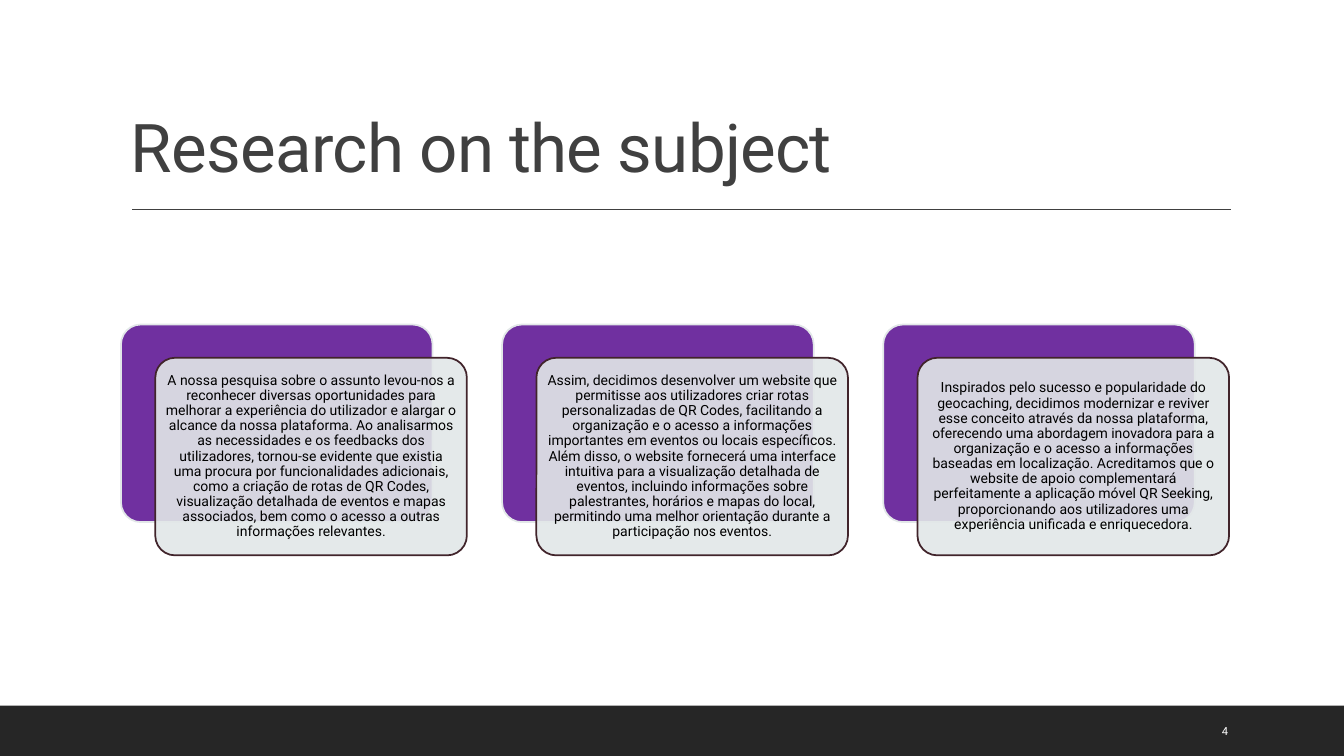
from dataclasses import dataclass

import pptx
import pptx.dml.color
import pptx.enum.shapes
import pptx.enum.text
import pptx.oxml.ns
import pptx.shapes.autoshape
import pptx.slide
import pptx.text.text
import pptx.util
from lxml import etree

Inches = pptx.util.Inches
Pt = pptx.util.Pt
SHAPES = pptx.enum.shapes.MSO_SHAPE
ANCHORS = pptx.enum.text.MSO_ANCHOR
ALIGNMENTS = pptx.enum.text.PP_ALIGN

FONT = "Roboto"
COLORS = {
    "background": "FFFFFF",
    "title": "404040",
    "footer": "262626",
    "accent": "7030A0",
    "panel": "E2E7E8",
    "panel_line": "41242B",
    "body": "000000",
    "page_number": "FFFFFF",
}
SLIDE_WIDTH, SLIDE_HEIGHT = 13.33, 7.5
FOOTER_HEIGHT = 0.5
CARD_LEFT, CARD_TOP = 1.2, 3.22
CARD_WIDTH, CARD_HEIGHT = 3.09, 1.96
CARD_PITCH = 3.78
PANEL_SHIFT_X, PANEL_SHIFT_Y = 0.34, 0.33

FINDINGS = [
    "A nossa pesquisa sobre o assunto levou-nos a reconhecer diversas oportunidades para "
    "melhorar a experiência do utilizador e alargar o alcance da nossa plataforma. Ao "
    "analisarmos as necessidades e os feedbacks dos utilizadores, tornou-se evidente que "
    "existia uma procura por funcionalidades adicionais, como a criação de rotas de QR Codes, "
    "visualização detalhada de eventos e mapas associados, bem como o acesso a outras "
    "informações relevantes.",
    "Assim, decidimos desenvolver um website que permitisse aos utilizadores criar rotas "
    "personalizadas de QR Codes, facilitando a organização e o acesso a informações "
    "importantes em eventos ou locais específicos. Além disso, o website fornecerá uma "
    "interface intuitiva para a visualização detalhada de eventos, incluindo informações "
    "sobre palestrantes, horários e mapas do local, permitindo uma melhor orientação durante "
    "a participação nos eventos.",
    "Inspirados pelo sucesso e popularidade do geocaching, decidimos modernizar e reviver "
    "esse conceito através da nossa plataforma, oferecendo uma abordagem inovadora para a "
    "organização e o acesso a informações baseadas em localização. Acreditamos que o website "
    "de apoio complementará perfeitamente a aplicação móvel QR Seeking, proporcionando aos "
    "utilizadores uma experiência unificada e enriquecedora.",
]


@dataclass(frozen=True)
class Box:
    left: float
    top: float
    width: float
    height: float

    def lengths(self) -> list[pptx.util.Length]:
        return [Inches(value) for value in (self.left, self.top, self.width, self.height)]


@dataclass(frozen=True)
class Card:
    back: Box
    finding: str

    @property
    def panel(self) -> Box:
        return Box(self.back.left + PANEL_SHIFT_X, self.back.top + PANEL_SHIFT_Y,
                   self.back.width, self.back.height)


def rgb(name: str) -> pptx.dml.color.RGBColor:
    return pptx.dml.color.RGBColor.from_string(COLORS[name])


def write(frame: pptx.text.text.TextFrame, text: str, size: float, color: str,
          anchor: ANCHORS) -> pptx.text.text._Paragraph:
    frame.word_wrap = True
    frame.vertical_anchor = anchor
    frame.text = text
    paragraph = frame.paragraphs[0]
    font = paragraph.runs[0].font
    font.name, font.size = FONT, Pt(size)
    font.color.rgb = rgb(color)
    return paragraph


def add_block(slide: pptx.slide.Slide, kind: SHAPES, box: Box, fill: str,
              line: str | None = None) -> pptx.shapes.autoshape.Shape:
    block = slide.shapes.add_shape(kind, *box.lengths())
    block.shadow.inherit = False
    block.fill.solid()
    block.fill.fore_color.rgb = rgb(fill)
    if line:
        block.line.color.rgb = rgb(line)
        block.line.width = Pt(1.25)
    else:
        block.line.fill.background()
    if kind == SHAPES.ROUNDED_RECTANGLE:
        block.adjustments[0] = 0.1
    return block


def set_opacity(block: pptx.shapes.autoshape.Shape, percent: int) -> None:
    color = block.fill._xPr.find(".//" + pptx.oxml.ns.qn("a:srgbClr"))
    etree.SubElement(color, pptx.oxml.ns.qn("a:alpha"), val=str(percent * 1000))


def add_title(slide: pptx.slide.Slide) -> None:
    """Add the heading and the rule beneath it."""
    title = slide.shapes.add_textbox(*Box(1.2, 0.31, 11, 1.59).lengths())
    heading = write(title.text_frame, "Research on the subject", 48, "title", ANCHORS.BOTTOM)
    heading.line_spacing = 0.9
    heading.space_after = Pt(6)
    heading.runs[0].font._element.set("spc", "-50")

    rule = slide.shapes.add_connector(pptx.enum.shapes.MSO_CONNECTOR.STRAIGHT, Inches(1.31),
                                      Inches(2.08), Inches(12.21), Inches(2.08))
    rule.line.color.rgb = rgb("title")
    rule.line.width = Pt(1)
    etree.SubElement(rule._element.spPr, pptx.oxml.ns.qn("a:effectLst"))


def add_card(slide: pptx.slide.Slide, card: Card) -> None:
    add_block(slide, SHAPES.ROUNDED_RECTANGLE, card.back, "accent", "panel")
    panel = add_block(slide, SHAPES.ROUNDED_RECTANGLE, card.panel, "panel", "panel_line")
    set_opacity(panel, 90)
    frame = panel.text_frame
    frame.margin_left = frame.margin_right = Inches(0.04)
    frame.margin_top = frame.margin_bottom = Inches(0.04)
    finding = write(frame, card.finding, 10, "body", ANCHORS.MIDDLE)
    finding.alignment = ALIGNMENTS.CENTER
    finding.line_spacing = 0.9


def add_footer(slide: pptx.slide.Slide) -> None:
    band = Box(0, SLIDE_HEIGHT - FOOTER_HEIGHT, SLIDE_WIDTH, FOOTER_HEIGHT)
    add_block(slide, SHAPES.RECTANGLE, band, "footer")
    page_number = slide.shapes.add_textbox(*Box(12.02, 7.05, 0.85, 0.4).lengths())
    write(page_number.text_frame, "4", 8, "page_number", ANCHORS.MIDDLE)


def main() -> None:
    deck = pptx.Presentation()
    deck.slide_width, deck.slide_height = Inches(SLIDE_WIDTH), Inches(SLIDE_HEIGHT)
    slide = deck.slides.add_slide(deck.slide_layouts[6])
    slide.background.fill.solid()
    slide.background.fill.fore_color.rgb = rgb("background")

    add_title(slide)
    for column, finding in enumerate(FINDINGS):
        back = Box(CARD_LEFT + column * CARD_PITCH, CARD_TOP, CARD_WIDTH, CARD_HEIGHT)
        add_card(slide, Card(back, finding))
    add_footer(slide)
    deck.save("out.pptx")


if __name__ == "__main__":
    main()
